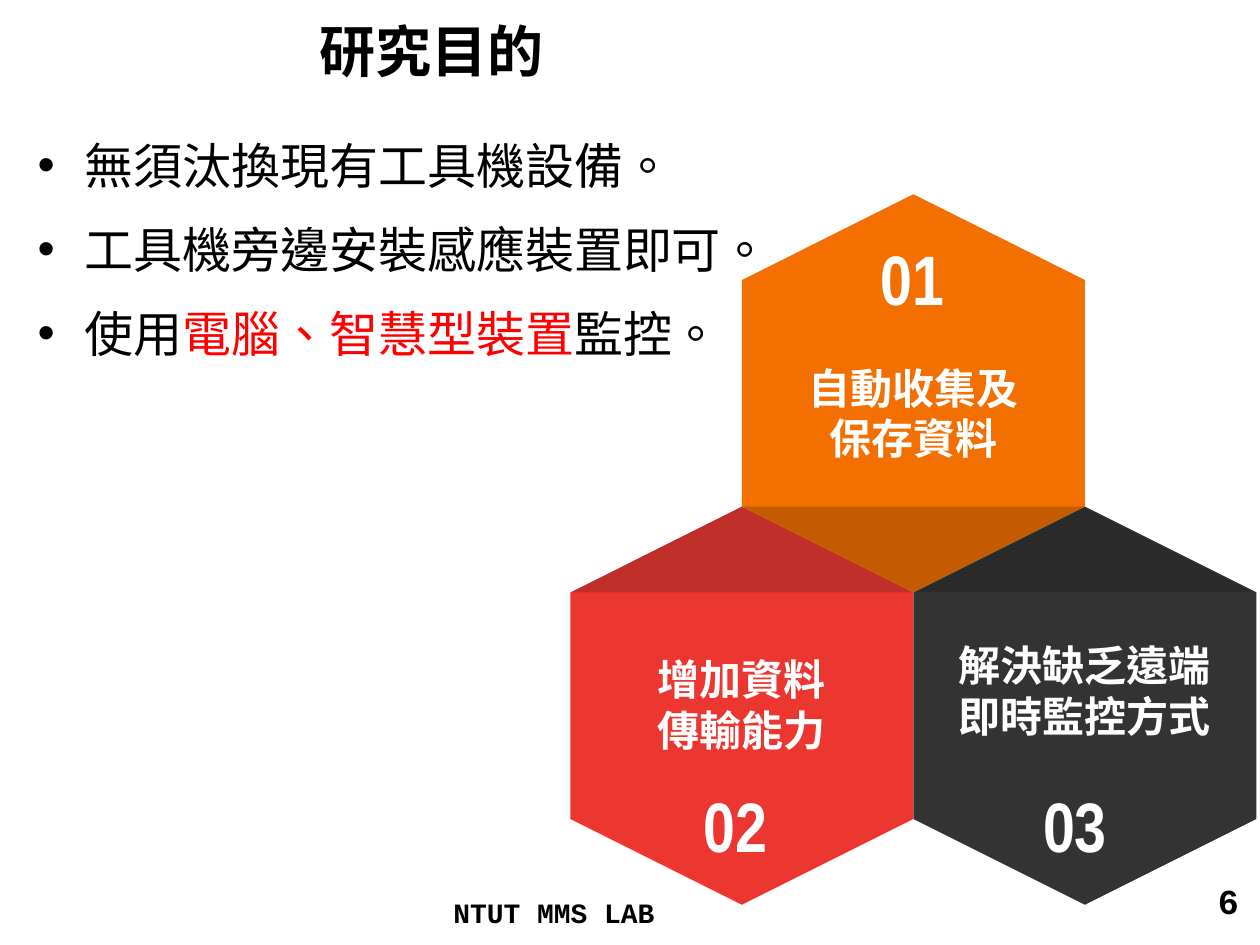
import pptx
import pptx.util
import pptx.dml.color
import pptx.enum.lang
import pptx.enum.shapes
import pptx.enum.text
from lxml import etree

Pt = pptx.util.Pt
ALIGN = pptx.enum.text.PP_ALIGN
ANCHOR = pptx.enum.text.MSO_ANCHOR
CHINESE = pptx.enum.lang.MSO_LANGUAGE_ID.TRADITIONAL_CHINESE
DRAWING = "{http://schemas.openxmlformats.org/drawingml/2006/main}"

COLORS = {
    "black": "000000",
    "white": "FFFFFF",
    "highlight": "FF0000",
    "orange": "F36F00",
    "red": "EC3730",
    "charcoal": "333333",
    "shade": "0D0D0D",
}
CJK, MONO, NARROW = "Noto Sans CJK SC", "Courier New", "Arial Narrow"

TILE_WIDTH, TILE_HEIGHT = 196, 227.5
FLAP = TILE_WIDTH / 4
CLUSTER_LEFT, CLUSTER_TOP = 326, 111


def rgb(name):
    return pptx.dml.color.RGBColor.from_string(COLORS[name])


def add_text_box(slide, box, anchor=ANCHOR.TOP, wrap=True):
    frame = slide.shapes.add_textbox(*[Pt(length) for length in box]).text_frame
    frame.word_wrap = wrap
    frame.vertical_anchor = anchor
    return frame


def add_run(paragraph, text, font, size, color, bold=False):
    run = paragraph.add_run()
    run.text = text
    run.font.name = font
    run.font.size = Pt(size)
    run.font.bold = bold
    run.font.color.rgb = rgb(color)
    if font == CJK:
        run.font.language_id = CHINESE
        latin = run.font._element.find(DRAWING + "latin")
        latin.addnext(etree.Element(DRAWING + "ea", typeface=font))


def add_line(slide, box, text, font, size, color, align=ALIGN.LEFT, anchor=ANCHOR.TOP, wrap=True):
    paragraph = add_text_box(slide, box, anchor, wrap).paragraphs[0]
    paragraph.alignment = align
    add_run(paragraph, text, font, size, color, bold=True)


def add_bullets(slide, box, items):
    frame = add_text_box(slide, box)
    for index, runs in enumerate(items):
        paragraph = frame.paragraphs[0] if index == 0 else frame.add_paragraph()
        paragraph.line_spacing = Pt(34)
        paragraph.space_before = Pt(14 if index else 0)
        properties = paragraph._p.get_or_add_pPr()
        properties.set("marL", str(Pt(27)))
        properties.set("indent", str(-Pt(27)))
        etree.SubElement(properties, DRAWING + "buFont", typeface="Arial")
        etree.SubElement(properties, DRAWING + "buChar", char="•")
        for text, color in runs:
            add_run(paragraph, text, CJK, 28, color)


def paint(shape, color):
    shape.shadow.inherit = False
    shape.fill.solid()
    shape.fill.fore_color.rgb = rgb(color)
    shape.line.fill.background()


def add_flap(slide, left, base, tip):
    builder = slide.shapes.build_freeform(Pt(left), Pt(base))
    builder.add_line_segments([
        (Pt(left + TILE_WIDTH), Pt(base)),
        (Pt(left + TILE_WIDTH / 2), Pt(tip)),
    ])
    flap = builder.convert_to_shape()
    paint(flap, "shade")
    color = flap._element.spPr.find(f"{DRAWING}solidFill/{DRAWING}srgbClr")
    etree.SubElement(color, DRAWING + "alpha", val="20000")


def add_tile(slide, left, top, color, number, number_at, lines, label_top, label_width, flap_below):
    hexagon = slide.shapes.add_shape(
        pptx.enum.shapes.MSO_SHAPE.HEXAGON,
        Pt(left + (TILE_WIDTH - TILE_HEIGHT) / 2),
        Pt(top + (TILE_HEIGHT - TILE_WIDTH) / 2),
        Pt(TILE_HEIGHT),
        Pt(TILE_WIDTH),
    )
    hexagon.rotation = 270
    paint(hexagon, color)

    if flap_below:
        add_flap(slide, left, top + TILE_HEIGHT - FLAP, top + TILE_HEIGHT)
    else:
        add_flap(slide, left, top + FLAP, top)

    number_left, number_top = number_at
    add_line(slide, (left + number_left, top + number_top, 58, 55), number, NARROW, 40, "white", wrap=False)

    label_left = left + (TILE_WIDTH - label_width) / 2
    frame = add_text_box(slide, (label_left, top + label_top, label_width, 65.5), ANCHOR.MIDDLE)
    for index, text in enumerate(lines):
        paragraph = frame.paragraphs[0] if index == 0 else frame.add_paragraph()
        paragraph.alignment = ALIGN.CENTER
        paragraph.line_spacing = Pt(29)
        add_run(paragraph, text, CJK, 24, "white", bold=True)


def add_cluster(slide, left, top):
    lower = top + TILE_HEIGHT - FLAP
    add_tile(slide, left + TILE_WIDTH, lower, "charcoal", "03", (67, 154),
             ["解決缺乏遠端", "即時監控方式"], 72, 189, False)
    add_tile(slide, left, lower, "red", "02", (69, 154),
             ["增加資料", "傳輸能力"], 80, 160, False)
    add_tile(slide, left + TILE_WIDTH / 2, top, "orange", "01", (72, 20),
             ["自動收集及保存資料"], 92, 158, True)


def main():
    presentation = pptx.Presentation()
    presentation.slide_width = Pt(720)
    presentation.slide_height = Pt(540)
    slide = presentation.slides.add_slide(presentation.slide_layouts[6])

    add_line(slide, (175.7, 0, 544.3, 57), "研究目的", CJK, 32, "black", anchor=ANCHOR.MIDDLE)
    add_bullets(slide, (14.4, 73.5, 698, 419), [
        [("無須汰換現有工具機設備。", "black")],
        [("工具機旁邊安裝感應裝置即可。", "black")],
        [("使用", "black"), ("電腦、智慧型裝置", "highlight"), ("監控。", "black")],
    ])
    add_line(slide, (252, 508.3, 233, 23), "NTUT MMS LAB", MONO, 16, "black")
    add_line(slide, (547, 499, 168, 37), "6", MONO, 20, "black", align=ALIGN.RIGHT)
    add_cluster(slide, CLUSTER_LEFT, CLUSTER_TOP)

    presentation.save("out.pptx")


if __name__ == "__main__":
    main()
